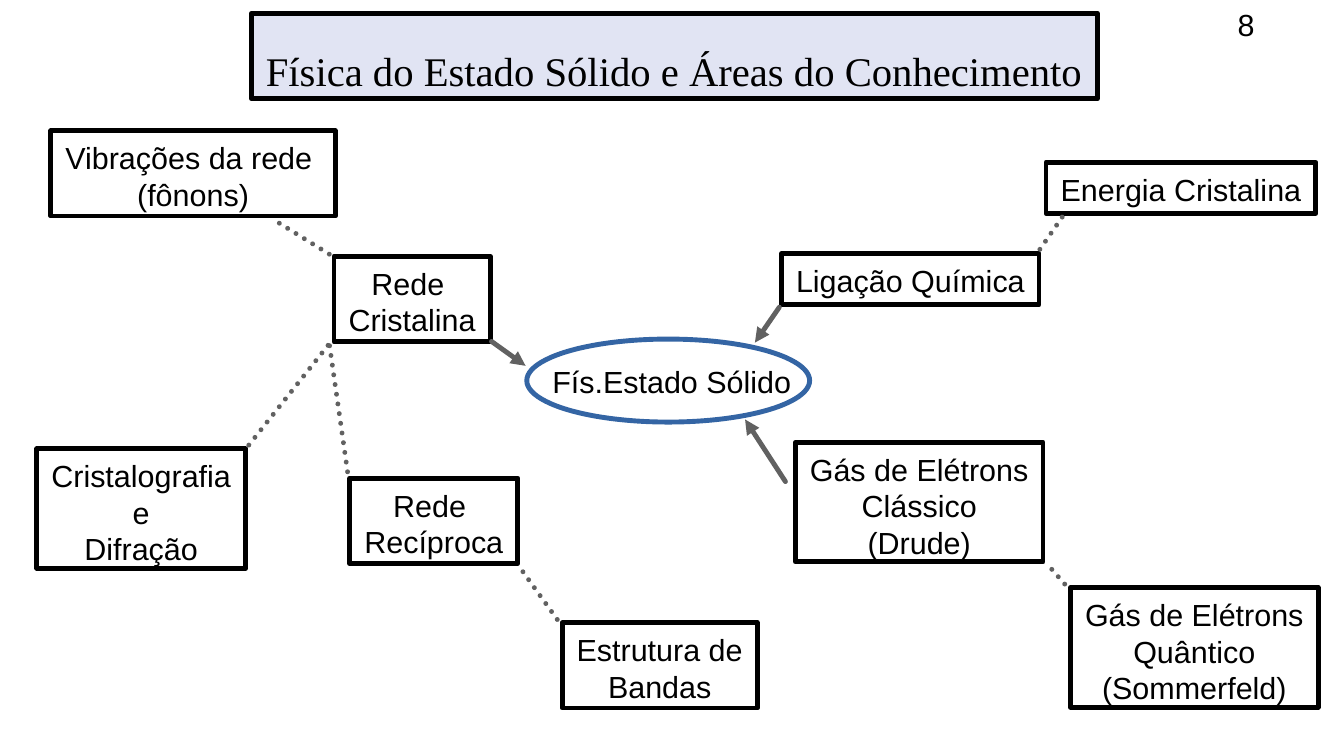
from dataclasses import dataclass

from lxml.etree import SubElement
from pptx import Presentation
from pptx.dml.color import RGBColor
from pptx.enum.dml import MSO_LINE
from pptx.enum.shapes import MSO_CONNECTOR, MSO_SHAPE
from pptx.enum.text import MSO_ANCHOR, PP_ALIGN
from pptx.oxml.ns import qn
from pptx.shapes.base import BaseShape
from pptx.slide import Slide
from pptx.util import Pt


@dataclass(frozen=True)
class Theme:
    ink: RGBColor = RGBColor(0x00, 0x00, 0x00)
    banner: RGBColor = RGBColor(0xC5, 0xCA, 0xE9)
    core: RGBColor = RGBColor(0x34, 0x65, 0xA4)
    link: RGBColor = RGBColor(0x61, 0x61, 0x61)
    title_font: str = "Times New Roman"
    body_font: str = "Arial"
    title_size: float = 24
    body_size: float = 18
    stroke: float = 2.89


@dataclass(frozen=True)
class Topic:
    lines: tuple[str, ...]
    left: float
    top: float
    width: float


@dataclass(frozen=True)
class Link:
    start: tuple[float, float]
    end: tuple[float, float]
    arrow: bool = False


THEME = Theme()
BOX_HEIGHTS = {1: 30.2, 2: 50.4, 3: 70.6}  # by number of text lines
BOX_INSETS = (8.64, 5.04)
LABEL_INSETS = (7.2, 3.6)

TOPICS = (
    Topic(("Rede ", "Cristalina"), 197.2, 151.4, 92.2),
    Topic(("Vibrações da rede ", "(fônons)"), 30.1, 77.2, 167.8),
    Topic(("Cristalografia", "e", "Difração"), 21.8, 265, 123.1),
    Topic(("Rede ", "Recíproca"), 206.4, 282.4, 99.4),
    Topic(("Ligação Química",), 461.5, 149.8, 151.9),
    Topic(("Gás de Elétrons", "Clássico", "(Drude)"), 469.6, 261.2, 146.2),
    Topic(("Gás de Elétrons", "Quântico", "(Sommerfeld)"), 632, 347, 146.2),
    Topic(("Estrutura de", "Bandas"), 331.9, 367.7, 115.2),
    Topic(("Energia Cristalina",), 617.5, 95.8, 159.4),
)

LINKS = (
    Link((164.9, 131.8), (195.1, 150.5)),
    Link((329, 365.8), (306.7, 334.8)),
    Link((205.2, 278.6), (194.4, 203)),
    Link((146.9, 262.8), (194.4, 203)),
    Link((463.7, 284.4), (439.9, 247.7), arrow=True),
    Link((628.6, 344.9), (618.5, 333.4)),
    Link((460.1, 181.4), (445.7, 202.3), arrow=True),
    Link((627.1, 128.2), (612.7, 149)),
    Link((290.2, 201.6), (310.3, 216), arrow=True),
)


def write(shape: BaseShape, lines: tuple[str, ...], align: PP_ALIGN,
          insets: tuple[float, float], font: str = THEME.body_font,
          size: float = THEME.body_size, spacing: float = 1.0,
          wrap: bool = False) -> None:
    frame = shape.text_frame
    across, down = Pt(insets[0]), Pt(insets[1])
    frame_format = {
        "word_wrap": wrap, "vertical_anchor": MSO_ANCHOR.TOP,
        "margin_left": across, "margin_right": across,
        "margin_top": down, "margin_bottom": down,
    }
    for name, value in frame_format.items():
        setattr(frame, name, value)
    for index, line in enumerate(lines):
        paragraph = frame.add_paragraph() if index else frame.paragraphs[0]
        paragraph.alignment = align
        paragraph.line_spacing = spacing
        run = paragraph.add_run()
        run.text = line
        for name, value in {"name": font, "size": Pt(size)}.items():
            setattr(run.font, name, value)
        run.font.color.rgb = THEME.ink


def add_outline(slide: Slide, kind: MSO_SHAPE, left: float, top: float,
                width: float, height: float, color: RGBColor) -> BaseShape:
    shape = slide.shapes.add_shape(
        kind, Pt(left), Pt(top), Pt(width), Pt(height))
    shape.shadow.inherit = False
    shape.fill.background()
    shape.line.color.rgb = color
    shape.line.width = Pt(THEME.stroke)
    return shape


def add_title(slide: Slide) -> None:
    title = add_outline(slide, MSO_SHAPE.RECTANGLE,
                        148.3, 7.9, 499.7, 50.4, THEME.ink)
    title.fill.solid()
    title.fill.fore_color.rgb = THEME.banner
    tint = title.fill._xPr.find(qn("a:solidFill"))[0]
    SubElement(tint, qn("a:alpha"), val="50000")
    write(title, ("Física do Estado Sólido e Áreas do Conhecimento",),
          PP_ALIGN.JUSTIFY, BOX_INSETS, THEME.title_font,
          THEME.title_size, spacing=1.5)


def add_label(slide: Slide, text: str, left: float, top: float,
              width: float, height: float, wrap: bool = False) -> None:
    label = slide.shapes.add_textbox(
        Pt(left), Pt(top), Pt(width), Pt(height))
    write(label, (text,), PP_ALIGN.LEFT, LABEL_INSETS, wrap=wrap)


def add_topic(slide: Slide, topic: Topic) -> None:
    box = add_outline(slide, MSO_SHAPE.RECTANGLE, topic.left, topic.top,
                      topic.width, BOX_HEIGHTS[len(topic.lines)], THEME.ink)
    write(box, topic.lines, PP_ALIGN.CENTER, BOX_INSETS)


def add_link(slide: Slide, link: Link) -> None:
    connector = slide.shapes.add_connector(
        MSO_CONNECTOR.STRAIGHT, *map(Pt, link.start + link.end))
    connector.line.color.rgb = THEME.link
    connector.line.width = Pt(THEME.stroke)
    stroke = connector.line._get_or_add_ln()
    stroke.set("cap", "rnd")
    if link.arrow:
        SubElement(stroke, qn("a:tailEnd"), type="triangle")
    else:
        connector.line.dash_style = MSO_LINE.ROUND_DOT
    SubElement(connector._element.spPr, qn("a:effectLst"))


def main() -> None:
    deck = Presentation()
    deck.slide_width, deck.slide_height = Pt(793.44), Pt(446.4)
    slide = deck.slides.add_slide(deck.slide_layouts[6])

    # Title and central subject
    add_title(slide)
    add_label(slide, "Fís.Estado Sólido", 319, 211, 155.5, 27.4)
    add_outline(slide, MSO_SHAPE.OVAL, 311, 200.2, 167, 49, THEME.core)

    # Areas of knowledge and how they relate
    for topic in TOPICS:
        add_topic(slide, topic)
    for link in LINKS:
        add_link(slide, link)

    # Page number
    add_label(slide, "8", 723.6, 0, 68, 33.8, wrap=True)

    deck.save("out.pptx")


if __name__ == "__main__":
    main()
